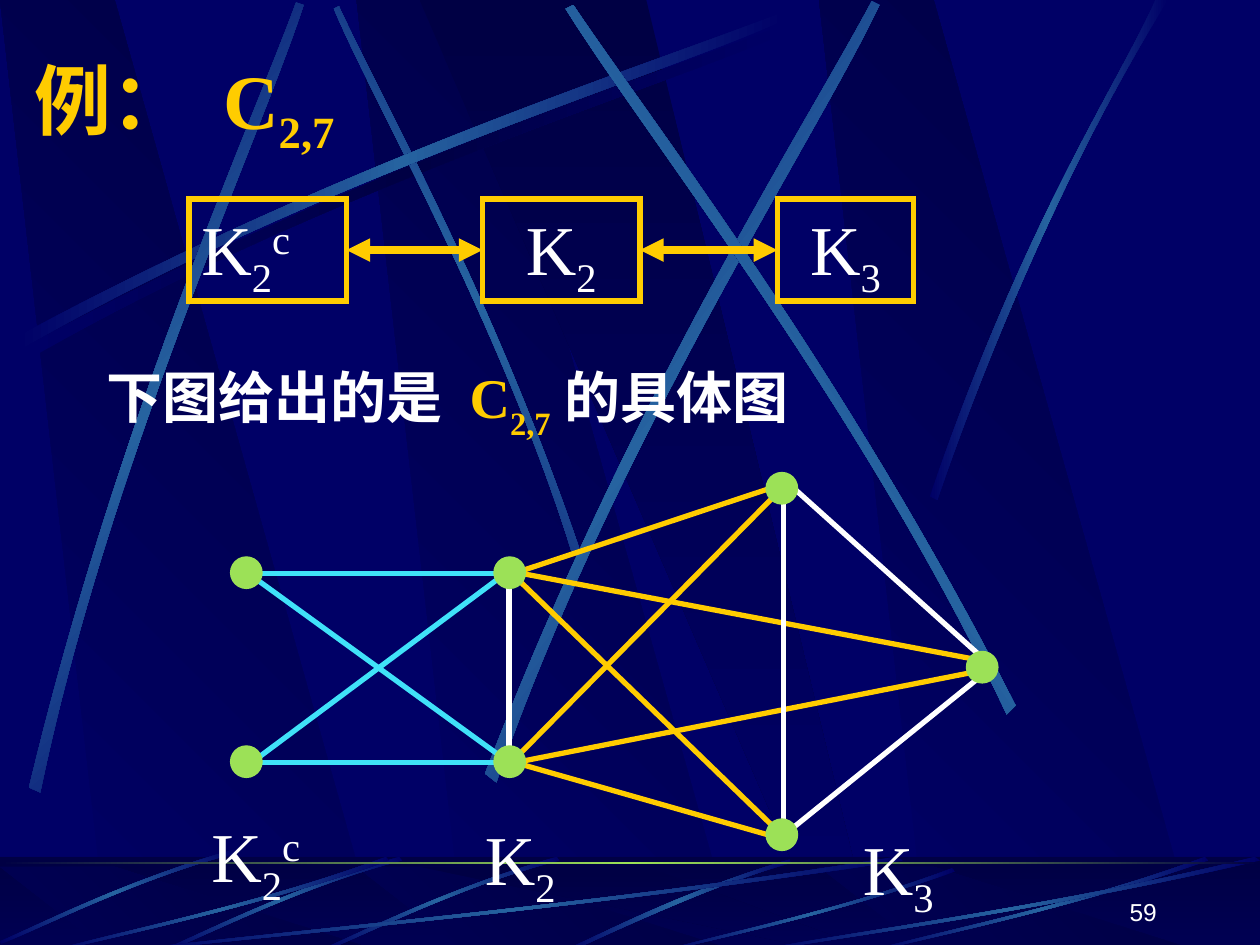
from lxml.etree import SubElement
from pptx import Presentation
from pptx.dml.color import RGBColor
from pptx.enum.shapes import MSO_CONNECTOR, MSO_SHAPE
from pptx.enum.text import MSO_ANCHOR, PP_ALIGN
from pptx.oxml.ns import qn
from pptx.util import Inches, Pt

NAVY, DARK, BEAM = "000066", "000044", "2663A0"
GOLD, WHITE, CYAN, GREEN = "FFCC00", "FFFFFF", "40E2F8", "9CE157"
SERIF, HAN = "Times New Roman", "Noto Sans CJK SC"

# Beams: two cubic edges (start, control, control, end), then gradient angle
LONG_BEAM = [(0.14, 2.67), (2.78, 1.25), (5.18, 0.51), (6.2, 0.1),
             (6.23, 0.16), (5.22, 0.61), (2.48, 1.43), (0.17, 2.77)]
SKY_BEAMS = [
    ([(4.6, 4.36), (3.91, 2.34), (3.02, 0.77), (2.69, 0.05),
      (2.65, 0.07), (2.95, 0.79), (3.98, 2.58), (4.54, 4.39)], 45),
    (LONG_BEAM, 0),
    ([(0.23, 6.25), (0.93, 3.34), (1.97, 1.05), (2.35, 0.02),
      (2.41, 0.04), (2.07, 1.09), (0.86, 3.68), (0.32, 6.29)], 311.7),
    ([(3.85, 6.14), (4.98, 3.2), (6.38, 1.02), (6.92, 0.01),
      (6.98, 0.04), (6.49, 1.08), (4.86, 3.55), (3.94, 6.21)], 321.6),
    ([(8.06, 5.6), (6.7, 2.93), (5.16, 0.95), (4.55, 0.04),
      (4.49, 0.07), (5.07, 1.01), (6.85, 3.25), (7.99, 5.67)], 34.7),
    ([(7.38, 3.94), (8.14, 1.73), (8.88, 0.66), (9.17, 0),
      (9.27, 0), (8.36, 1.45), (7.69, 3.22), (7.44, 3.97)], 0),
]
STEEP_FLOOR_BEAM = [(6.27, 6.82), (5.37, 7.09), (4.77, 7.42), (4.48, 7.54),
                    (4.53, 7.55), (4.9, 7.38), (5.71, 7), (6.28, 6.85)]
SHORT_FLOOR_BEAM = [(4.42, 6.8), (3.55, 7.05), (2.87, 7.4), (2.56, 7.53),
                    (2.57, 7.55), (2.88, 7.43), (3.65, 7.03), (4.44, 6.83)]
# Flat floor beam in fractions of its frame, and the frames it fills
FLAT_FLOOR_BEAM = [(1, 0.04), (0.57, 0.57), (0.17, 0.85), (0.01, 1),
                   (0, 0.99), (0.17, 0.81), (0.61, 0.51), (0.99, 0)]
FLAT_FRAMES = [(1, 6.8, 6.17, 0.75), (0.42, 6.8, 2.67, 0.75), (5.27, 6.89, 2.31, 0.66),
               (6.92, 6.8, 2.67, 0.75), (6, 6.8, 4, 0.75)]

# Edges of the graph, by colour
EDGES = {
    CYAN: [((1.98, 4.55), (3.98, 4.55)), ((1.97, 4.55), (4.08, 6.08)),
           ((1.98, 6.05), (3.98, 6.05)), ((2, 6.05), (4.08, 4.5))],
    GOLD: [((4.08, 4.55), (6.25, 3.83)), ((4.05, 4.54), (6.25, 6.67)),
           ((4.08, 4.54), (7.83, 5.25)), ((4.08, 6.05), (6.25, 6.67)),
           ((4.06, 6.05), (6.25, 3.83)), ((4.1, 6.05), (7.75, 5.33))],
    WHITE: [((4.04, 4.52), (4.04, 6.1)), ((6.22, 3.9), (6.22, 6.67)),
            ((6.25, 3.83), (7.83, 5.25)), ((6.17, 6.67), (7.83, 5.33))],
}
# Left and top of each vertex
VERTICES = [(1.83, 4.42), (1.83, 5.92), (3.92, 4.42), (3.92, 5.92),
            (6.08, 3.75), (6.08, 6.5), (7.67, 5.17)]


def color(target, value):
    """Give a fill one solid colour."""
    target.solid()
    target.fore_color.rgb = RGBColor.from_string(value)


def gradient(shape, colors, angle):
    """Evenly spaced gradient stops, without outline or shadow."""
    shape.shadow.inherit = False
    shape.line.fill.background()
    shape.fill.gradient()
    shape.fill.gradient_angle = angle
    stops = shape._element.spPr.find(".//" + qn("a:gsLst"))
    stops.clear()
    for index, value in enumerate(colors):
        position = str(100000 * index // (len(colors) - 1))
        stop = SubElement(stops, qn("a:gs"), pos=position)
        SubElement(stop, qn("a:srgbClr"), val=value)


def shift(points, dx, dy=0):
    return [(x + dx, y + dy) for x, y in points]


def add_outline(page, points, colors, angle):
    corners = [(Inches(x), Inches(y)) for x, y in points]
    builder = page.shapes.build_freeform(*corners[0])
    builder.add_line_segments(corners[1:], close=True)
    shape = builder.convert_to_shape()
    gradient(shape, colors, angle)
    return shape


def add_beam(page, points, angle=0, middle=BEAM):
    """An outline whose two long edges are turned into cubic curves."""
    shape = add_outline(page, points, [NAVY, middle, NAVY], angle)
    segments = shape._element.spPr.findall(".//" + qn("a:lnTo"))
    for edge in (segments[:3], segments[4:7]):
        curve = SubElement(edge[0].getparent(), qn("a:cubicBezTo"))
        edge[0].addprevious(curve)
        for segment in edge:
            curve.append(segment[0])
            segment.getparent().remove(segment)


def add_band(page, top, height, colors, angle):
    band = page.shapes.add_shape(MSO_SHAPE.RECTANGLE, 0, Inches(top), Inches(10), Inches(height))
    gradient(band, colors, angle)
    return band


def add_slabs(page, top, bottom):
    for left in (2.83, 0, 6.5):
        slab = [(0.86, bottom), (3.02, bottom), (0.91, top), (0, top)]
        add_outline(page, shift(slab, left), [NAVY, DARK], 45)
    add_outline(page, [(3.33, top), (6.58, bottom), (6.94, bottom), (5.13, top)],
                [DARK, NAVY], 270)


def add_backdrop(page):
    # Sky
    add_slabs(page, 0, 7.52)
    add_beam(page, shift(LONG_BEAM, 0.06, 0.08), middle=DARK)
    for points, angle in SKY_BEAMS:
        add_beam(page, points, angle)
    # Floor
    add_band(page, 6.8, 0.75, [DARK, NAVY], 270)
    add_slabs(page, 6.88, 7.55)
    veil = add_band(page, 6.8, 0.75, [DARK, DARK], 0)
    color(veil.fill, DARK)
    SubElement(veil._element.spPr.find(".//" + qn("a:srgbClr")), qn("a:alpha"), val="50000")
    add_beam(page, STEEP_FLOOR_BEAM)
    for dx, dy in ((0, 0), (-1.25, 0), (-2.56, -0.06)):
        add_beam(page, shift(SHORT_FLOOR_BEAM, dx, dy), 45)
    for left, top, width, height in FLAT_FRAMES:
        add_beam(page, [(left + x * width, top + y * height) for x, y in FLAT_FLOOR_BEAM])
    # Horizon
    add_band(page, 6.84, 0.02, [DARK, GREEN, DARK], 0)


def move_to_master(page, master):
    """Put the drawn shapes behind the placeholders of the master."""
    color(master.background.fill, NAVY)
    drawn = [shape for shape in page.shapes if not shape.is_placeholder]
    for index, shape in enumerate(drawn):
        shape._element.nvSpPr.cNvPr.set("id", str(100 + index))
        master.shapes._spTree.insert(2 + index, shape._element)


def write(box, spans, size, name=SERIF, bold=False, align=PP_ALIGN.LEFT, tabs=(),
          anchor=MSO_ANCHOR.TOP):
    """Fill a box with one paragraph of (text, colour, baseline in %) spans."""
    frame = box.text_frame
    frame.word_wrap = True
    frame.vertical_anchor = anchor
    para = frame.paragraphs[0]
    para.alignment = align
    if tabs:
        stops = SubElement(para._p.get_or_add_pPr(), qn("a:tabLst"))
        for tab in tabs:
            SubElement(stops, qn("a:tab"), pos=str(Inches(tab)), algn="l")
    para.font.size, para.font.name, para.font.bold = Pt(size), name, bold
    for text, value, baseline in spans:
        span = para.add_run()
        span.text = text
        color(span.font.fill, value)
        if baseline:
            span._r.get_or_add_rPr().set("baseline", str(baseline * 1000))
        if not text.isascii():
            SubElement(span._r.get_or_add_rPr(), qn("a:ea"), typeface=HAN)


def add_text(page, left, top, width, height, spans, size, **style):
    box = page.shapes.add_textbox(*map(Inches, (left, top, width, height)))
    write(box, spans, size, **style)
    return box


def graph_name(sub, sup=""):
    spans = [("K", WHITE, 0), (sub, WHITE, -25)]
    return spans + [(sup, WHITE, 30)] if sup else spans


def add_line(page, start, end, value, width=3):
    line = page.shapes.add_connector(MSO_CONNECTOR.STRAIGHT, *map(Inches, (*start, *end)))
    color(line.line.fill, value)
    line.line.width = Pt(width)
    SubElement(line._element.spPr, qn("a:effectLst"))
    return line


def add_frame(page, left, width, spans, align):
    box = page.shapes.add_shape(MSO_SHAPE.RECTANGLE, *map(Inches, (left, 1.58, width, 0.81)))
    box.shadow.inherit = False
    box.fill.background()
    color(box.line.fill, GOLD)
    box.line.width = Pt(3)
    SubElement(box.line._get_or_add_ln(), qn("a:miter"), lim="800000")
    write(box, spans, 40, align=align)
    return box


def add_double_arrow(page, left_box, right_box):
    arrow = add_line(page, (0, 0), (1, 0), GOLD, 4.5)
    arrow.begin_connect(left_box, 3)
    arrow.end_connect(right_box, 1)
    for end in ("a:headEnd", "a:tailEnd"):
        SubElement(arrow.line._get_or_add_ln(), qn(end), type="triangle")


def add_vertex(page, left, top):
    dot = page.shapes.add_shape(MSO_SHAPE.OVAL, *map(Inches, (left, top, 0.25, 0.25)))
    dot.shadow.inherit = False
    color(dot.fill, GREEN)
    color(dot.line.fill, GREEN)
    dot.line.width = Pt(0.75)


def add_graph(page):
    for value, pairs in EDGES.items():
        for start, end in pairs:
            add_line(page, start, end, value)
    for left, top in VERTICES:
        add_vertex(page, left, top)
    labels = ((1.58, 6.4, 0.96, graph_name("2", "c")), (3.75, 6.42, 0.79, graph_name("2")),
              (6.75, 6.5, 0.79, graph_name("3")))
    for left, top, width, spans in labels:
        label = add_text(page, left, top, width, 0.77, spans, 40)
        label.text_frame.margin_right = 0


def main():
    deck = Presentation()
    deck.slide_width, deck.slide_height = Inches(10), Inches(7.5)
    page = deck.slides.add_slide(deck.slide_layouts[5])
    add_backdrop(page)
    move_to_master(page, deck.slide_master)

    # Title
    title = page.shapes.title
    title.left, title.top, title.width, title.height = map(Inches, (0.17, 0.42, 8.5, 0.83))
    write(title, [("例：\t", GOLD, 0), ("C", GOLD, 0), ("2,7", GOLD, -25)], 44, bold=True,
          tabs=[1.5], anchor=MSO_ANCHOR.MIDDLE)

    # Caption and graph
    add_text(page, 0.75, 2.83, 7.83, 0.63,
             [("下图给出的是\t", WHITE, 0), ("C", GOLD, 0), ("2,7", GOLD, -30),
              ("\t的具体图", WHITE, 0)], 32, bold=True, tabs=[2.88, 3.63])
    add_graph(page)

    # Chain of graphs
    first = add_frame(page, 1.5, 1.25, graph_name("2", "c"), PP_ALIGN.LEFT)
    second = add_frame(page, 3.83, 1.25, graph_name("2"), PP_ALIGN.CENTER)
    third = add_frame(page, 6.17, 1.08, graph_name("3"), PP_ALIGN.CENTER)
    add_double_arrow(page, first, second)
    add_double_arrow(page, second, third)
    add_text(page, 7.2, 6.9, 2.08, 0.5, [("59", WHITE, 0)], 14, name="Arial",
             align=PP_ALIGN.RIGHT, anchor=MSO_ANCHOR.BOTTOM)
    deck.save("out.pptx")


if __name__ == "__main__":
    main()
